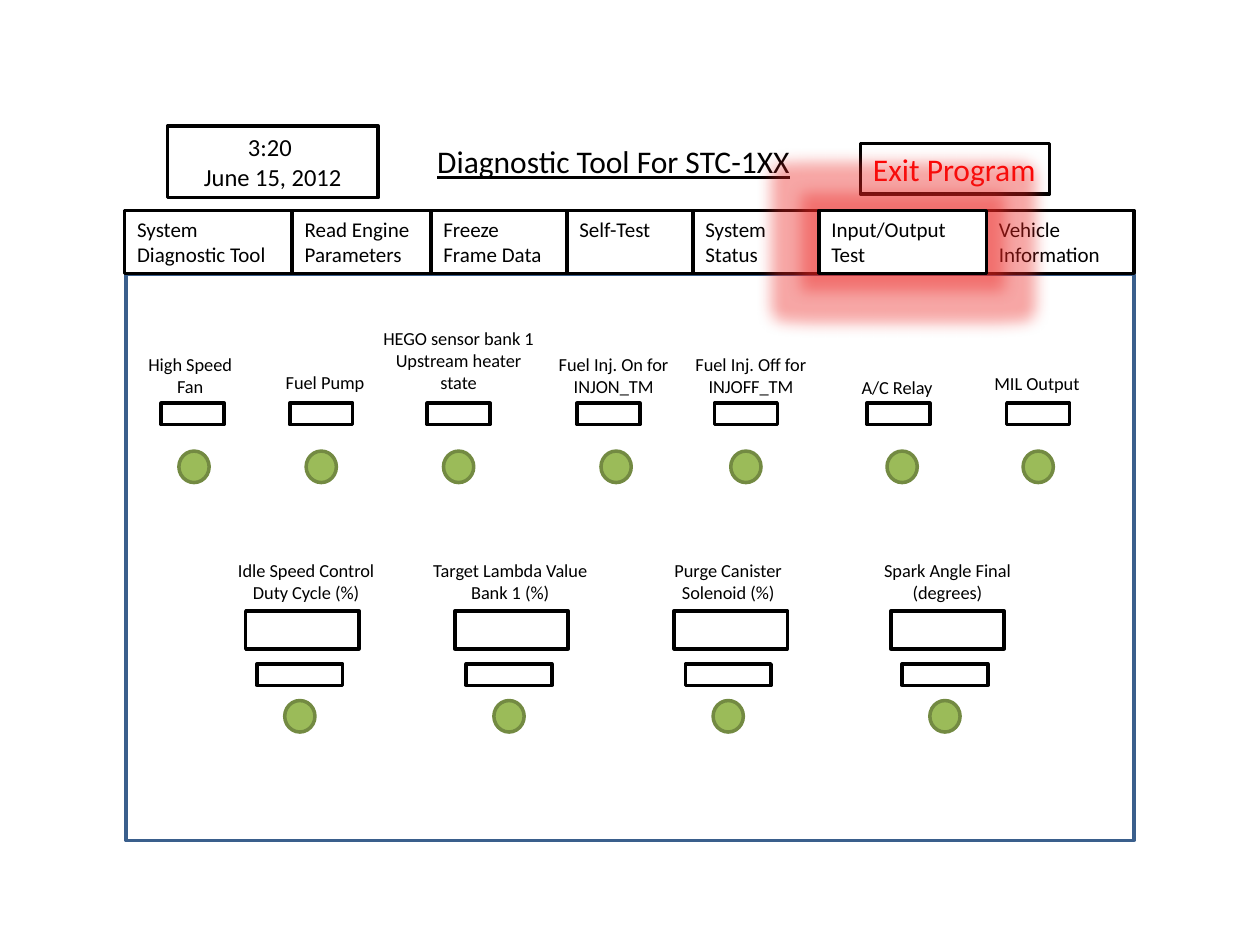
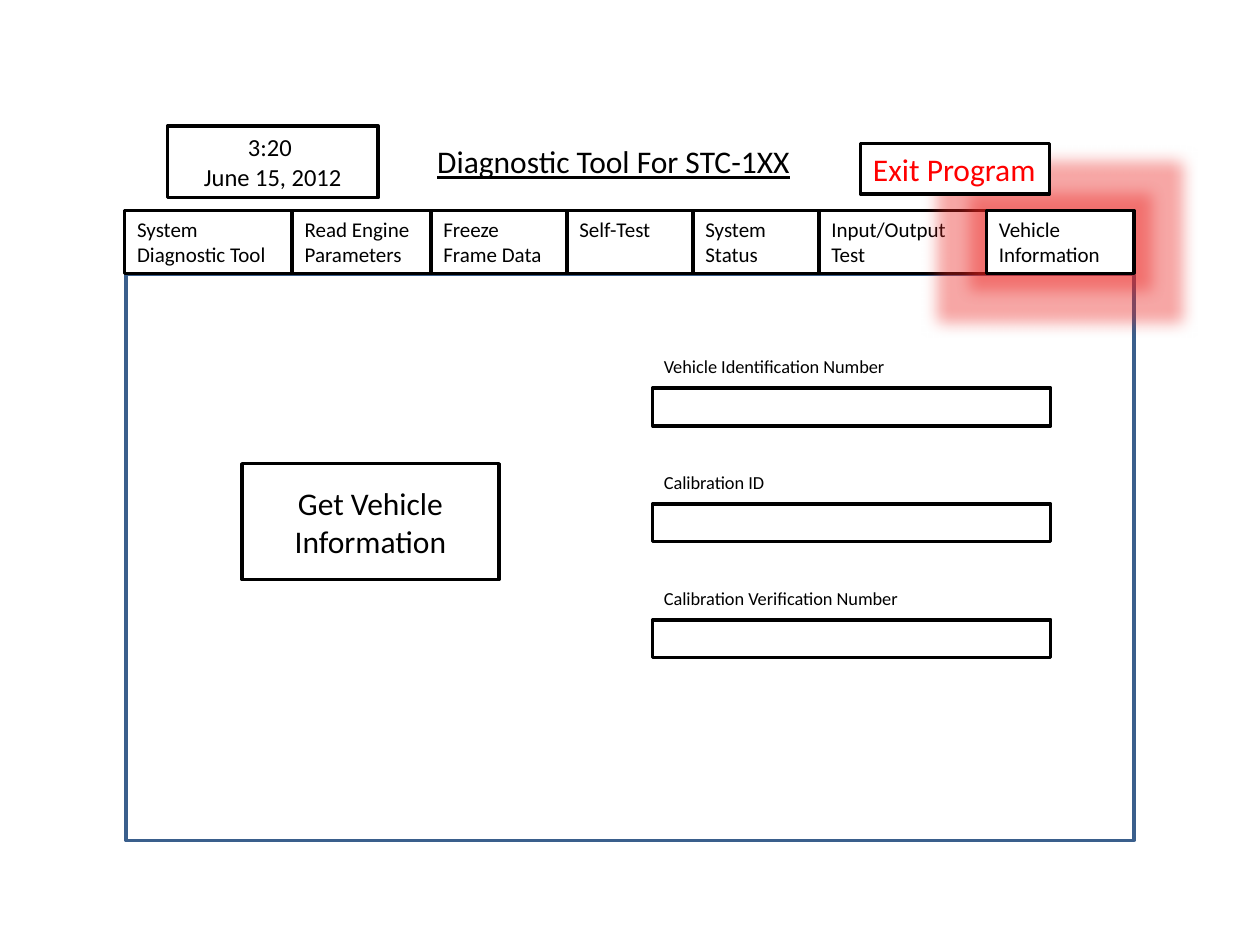
from lxml.etree import SubElement
from pptx import Presentation
from pptx.dml.color import RGBColor
from pptx.enum.shapes import MSO_SHAPE
from pptx.enum.text import MSO_ANCHOR, PP_ALIGN
from pptx.oxml.ns import qn
from pptx.util import Pt

PX = 9144  # 100 px to the inch
FONT = "Calibri"
BLACK = RGBColor(0, 0, 0)
WHITE = RGBColor(255, 255, 255)
RED = RGBColor(255, 0, 0)
BLUE = RGBColor(0x3A, 0x5F, 0x8C)
GREEN = RGBColor(0x9B, 0xBB, 0x59)
OLIVE = RGBColor(0x73, 0x8A, 0x42)
GLOW = RGBColor(0xEB, 0x22, 0x1E)

PANEL = (100, 218, 800, 449)
HEAD = (99, 100)
# Name and width of each tab
TABS = [
    ("System Diagnostic Tool", 133), ("Read Engine Parameters", 110),
    ("Freeze Frame Data", 108), ("Self-Test", 100), ("System Status", 100),
    ("Input/Output Test", 133), ("Vehicle Information", 117),
]
# Caption, then centre of caption, bottom of caption, centres of box and dot
LAMPS = [
    ("High Speed\nFan", 51, 102, 53, 54),
    ("Fuel Pump", 158, 99, 155, 155),
    ("HEGO sensor bank 1\nUpstream heater state", 264, 99, 264, 264),
    ("Fuel Inj. On for\nINJON_TM", 387, 102, 383, 389),
    ("Fuel Inj. Off for\nINJOFF_TM", 496, 102, 492, 492),
    ("A/C Relay", 612, 103, 613, 616),
    ("MIL Output", 723, 100, 724, 724),
]
# Caption, left edge of gauge, centre of caption from that edge
GAUGES = [
    ("Idle Speed Control\nDuty Cycle (%)", 95, 48),
    ("Target Lambda Value\nBank 1 (%)", 261, 44),
    ("Purge Canister\nSolenoid (%)", 435, 43),
    ("Spark Angle Final\n(degrees)", 607, 45),
]
FIELDS = ["Vehicle Identification Number", "Calibration ID",
          "Calibration Verification Number"]


def place(*box):
    return [n * PX for n in box]


def paint(shape, fill, line):
    if fill is None:
        shape.fill.background()
    else:
        shape.fill.solid()
        shape.fill.fore_color.rgb = fill
    shape.line.color.rgb = line
    shape.line.width = Pt(2)


def draw(slide, box, fill=WHITE, line=BLACK, kind=MSO_SHAPE.RECTANGLE):
    shape = slide.shapes.add_shape(kind, *place(*box))
    shape.shadow.inherit = False
    paint(shape, fill, line)


def style(frame, text, size, color=BLACK, align=PP_ALIGN.LEFT,
          anchor=MSO_ANCHOR.TOP, under=None):
    frame.text = text
    frame.vertical_anchor = anchor
    for par in frame.paragraphs:
        par.alignment = align
        for run in par.runs:
            font = run.font
            font.name, font.size, font.underline = FONT, Pt(size), under
            font.color.rgb = color


def write(slide, box, text, size, wrap=True, **look):
    area = slide.shapes.add_textbox(*place(*box))
    style(area.text_frame, text, size, **look)
    area.text_frame.word_wrap = wrap
    return area


def button(slide, box, text, size, **look):
    area = write(slide, box, text, size, **look)
    paint(area, WHITE, BLACK)
    return area


def caption(slide, mid, base, text):
    write(slide, (mid - 75, base - 63, 150, 63), text, 10.5,
          align=PP_ALIGN.CENTER, anchor=MSO_ANCHOR.BOTTOM)


def dot(slide, mid, top):
    draw(slide, (mid - 12, top, 24, 25), GREEN, OLIVE, MSO_SHAPE.OVAL)


def shine(shape):
    """Add a red glow around the active tab."""
    effects = SubElement(shape.element.spPr, qn("a:effectLst"))
    glow = SubElement(effects, qn("a:glow"), rad=str(25 * PX))
    color = SubElement(glow, qn("a:srgbClr"), val=str(GLOW))
    SubElement(color, qn("a:alpha"), val="40000")


def header(slide, left, top, active, front):
    # Title
    title = slide.shapes.title
    title.left, title.top, title.width, title.height = place(
        left + 238, top + 8, 303, 40)
    style(title.text_frame, "Diagnostic Tool For STC-1XX", 18,
          anchor=MSO_ANCHOR.MIDDLE, under=True)
    title.text_frame.word_wrap = False

    # Tabs
    tiles = []
    x = left
    for name, width in TABS:
        tile = button(slide, (x, top + 67, width, 50), name, 12)
        tiles.append(tile)
        x += width
    shine(tiles[active])

    # Exit button and clock
    button(slide, (left + 584, top + 14, 150, 40), "Exit Program", 18,
           wrap=False, color=RED)
    button(slide, (left + 34, top, 167, 57), "3:20 \nJune 15, 2012", 14,
           align=PP_ALIGN.CENTER)
    if front:
        slide.shapes._spTree.append(tiles[active].element)


def lamps(slide, left, top):
    for text, mid, base, box, light in LAMPS:
        draw(slide, (left + box - 25, top + 102, 50, 17))
        caption(slide, left + mid, top + base, text)
        dot(slide, left + light, top + 140)


def gauges(slide, left, top):
    for text, edge, mid in GAUGES:
        x = left + edge
        draw(slide, (x, top + 267, 90, 30))
        caption(slide, x + mid, top + 266, text)
        draw(slide, (x + 9, top + 309, 68, 17))
        dot(slide, x + 43, top + 338)


def details(slide, left, top):
    for row, name in enumerate(FIELDS):
        y = top + 59 + 92 * row
        draw(slide, (left + 418, y + 31, 316, 30))
        write(slide, (left + 417, y, 268, 28), name, 10.5)
    button(slide, (left + 92, top + 150, 204, 92), "Get Vehicle Information",
           18, align=PP_ALIGN.CENTER, anchor=MSO_ANCHOR.MIDDLE)


def screen(deck, active, parts, front=False):
    slide = deck.slides.add_slide(deck.slide_layouts[5])
    draw(slide, PANEL, None, BLUE)
    header(slide, *HEAD, active, front)
    for part in parts:
        part(slide, *PANEL[:2])


def main():
    deck = Presentation()
    deck.slide_width, deck.slide_height = place(1000, 750)
    screen(deck, 5, [lamps, gauges], front=True)
    screen(deck, 6, [details])
    deck.save("out.pptx")


if __name__ == "__main__":
    main()
